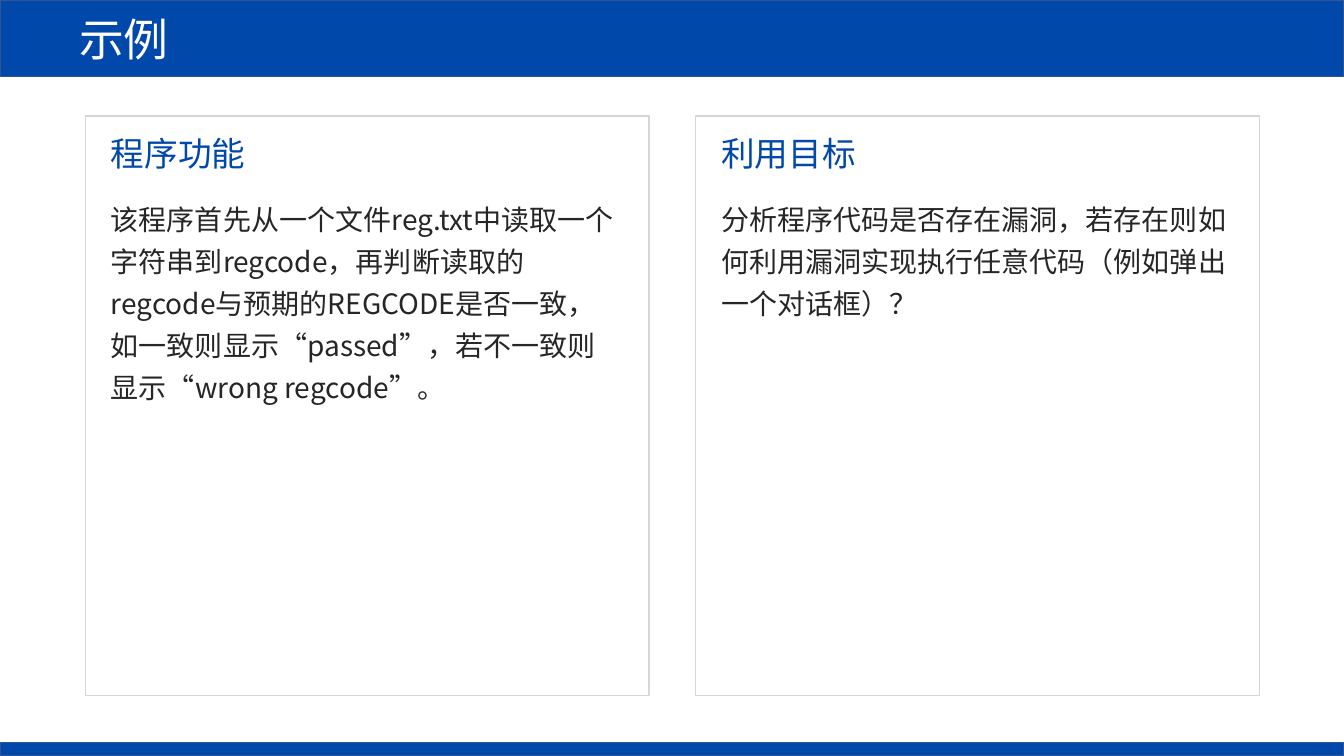
from lxml import etree
from pptx import Presentation
from pptx.dml.color import RGBColor
from pptx.enum.shapes import MSO_SHAPE
from pptx.enum.text import MSO_ANCHOR, MSO_AUTO_SIZE, PP_ALIGN
from pptx.oxml.ns import qn
from pptx.util import Pt

RECTANGLE = MSO_SHAPE.RECTANGLE
TOP, MIDDLE = MSO_ANCHOR.TOP, MSO_ANCHOR.MIDDLE
LEFT = PP_ALIGN.LEFT
NO_AUTOFIT = MSO_AUTO_SIZE.NONE

FONT = "Noto Sans CJK SC"
COLORS = {
    "blue": "0048AA",
    "bar_line": "325491",
    "frame_line": "D6D6D6",
    "white": "FFFFFF",
    "text": "262626",
}
SLIDE_WIDTH, SLIDE_HEIGHT = 960, 540
COMPARISON_LAYOUT = 4

PANELS = [
    ("程序功能",
     "该程序首先从一个文件reg.txt中读取一个字符串到regcode，再判断读取的regcode"
     "与预期的REGCODE是否一致，如一致则显示“passed”，若不一致则显示“wrong regcode”。"),
    ("利用目标",
     "分析程序代码是否存在漏洞，若存在则如何利用漏洞实现执行任意代码（例如弹出一个对话框）？"),
]


def color(name):
    return RGBColor.from_string(COLORS[name])


def place(shape, left, top, width, height):
    shape.left, shape.top = Pt(left), Pt(top)
    shape.width, shape.height = Pt(width), Pt(height)


def style_bar(bar):
    bar.fill.solid()
    bar.fill.fore_color.rgb = color("blue")
    bar.line.color.rgb = color("bar_line")
    bar.line.width = Pt(1)


def write(placeholder, text, size, color_name, anchor=TOP, spacing=1.0):
    frame = placeholder.text_frame
    frame.text = text
    frame.word_wrap = True
    frame.auto_size = NO_AUTOFIT
    frame.vertical_anchor = anchor
    paragraph = frame.paragraphs[0]
    paragraph.alignment = LEFT
    paragraph.line_spacing = spacing
    paragraph.space_before = Pt(0)
    # No bullet and no hanging indent
    properties = paragraph._p.get_or_add_pPr()
    properties.set("marL", "0")
    properties.set("indent", "0")
    etree.SubElement(properties, qn("a:buNone"))
    font = paragraph.font
    font.size = Pt(size)
    font.bold = False
    font.color.rgb = color(color_name)
    font.name = FONT
    # Same typeface for the Chinese characters
    east_asian = etree.SubElement(properties.find(qn("a:defRPr")), qn("a:ea"))
    east_asian.set("typeface", FONT)


def add_title_bar(slide, left, top, width, height):
    title = slide.shapes.title
    place(title, left, top, width, height)
    style_bar(title)
    write(title, "示例", 32, "white", MIDDLE)
    title.text_frame.margin_left = Pt(56.5)


def add_footer_bar(slide, left, top, width, height):
    footer = slide.shapes.add_shape(RECTANGLE, Pt(left), Pt(top), Pt(width), Pt(height))
    footer.shadow.inherit = False
    style_bar(footer)


def add_panel(slide, heading, heading_text, body, body_text, left, top, width, height):
    # Frame
    frame = slide.shapes.add_shape(RECTANGLE, Pt(left), Pt(top), Pt(width), Pt(height))
    frame.shadow.inherit = False
    frame.fill.background()
    frame.line.color.rgb = color("frame_line")
    frame.line.width = Pt(1)
    # Heading and text, inset from the frame
    inset = 11
    text_width = width - 2 * inset
    place(heading, left + inset, top + 8, text_width, 36)
    write(heading, heading_text, 24, "blue")
    place(body, left + inset, top + 52, text_width, height - 60)
    write(body, body_text, 20, "text", spacing=1.25)


def build_slide(presentation):
    slide = presentation.slides.add_slide(presentation.slide_layouts[COMPARISON_LAYOUT])
    add_title_bar(slide, 0, 0, SLIDE_WIDTH, 54.7)
    add_footer_bar(slide, 0, 530.6, SLIDE_WIDTH, 9.4)

    # Two equal panels, each with a heading and a body placeholder
    panel_left, panel_width, panel_gap = 61, 402.5, 33.5
    heading_1, body_1, heading_2, body_2 = list(slide.placeholders)[1:]
    pairs = [(heading_1, body_1), (heading_2, body_2)]
    for i, ((heading, body), (heading_text, body_text)) in enumerate(zip(pairs, PANELS)):
        left = panel_left + i * (panel_width + panel_gap)
        add_panel(slide, heading, heading_text, body, body_text, left, 83, panel_width, 413.8)


def main():
    presentation = Presentation()
    presentation.slide_width = Pt(SLIDE_WIDTH)
    presentation.slide_height = Pt(SLIDE_HEIGHT)
    build_slide(presentation)
    presentation.save("out.pptx")


if __name__ == "__main__":
    main()
